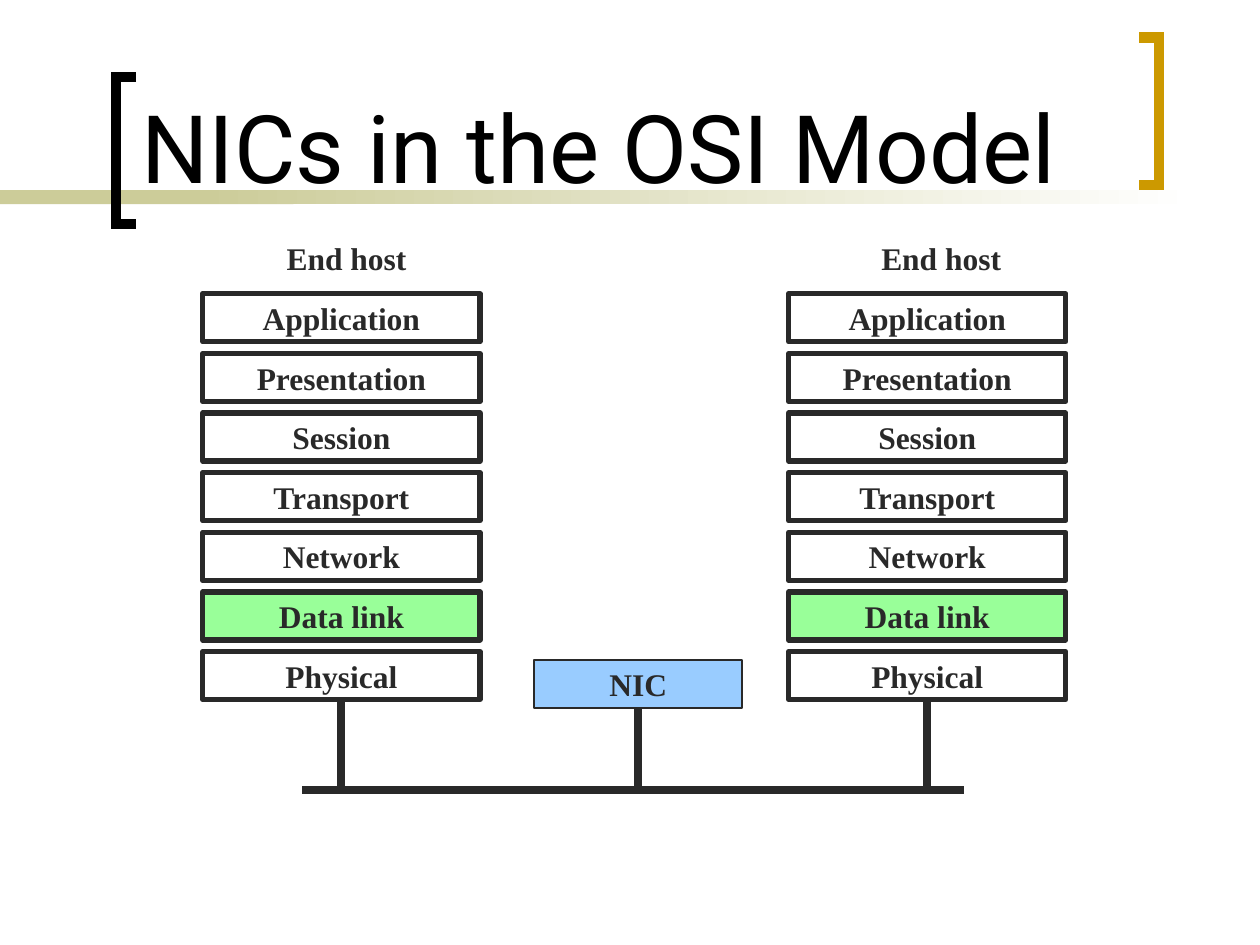
from dataclasses import dataclass

import pptx
import pptx.dml.color
import pptx.enum.shapes
import pptx.enum.text
import pptx.oxml.ns
import pptx.util
from lxml import etree

Pt = pptx.util.Pt
ANCHOR = pptx.enum.text.MSO_ANCHOR
ALIGN = pptx.enum.text.PP_ALIGN
RECTANGLE = pptx.enum.shapes.MSO_SHAPE.RECTANGLE
STRAIGHT = pptx.enum.shapes.MSO_CONNECTOR.STRAIGHT
WIDTH, HEIGHT = pptx.util.Inches(10), pptx.util.Inches(7.5)


@dataclass(frozen=True)
class Theme:
    title_font: str = "Roboto"
    body_font: str = "Times New Roman"
    title_size: float = 54
    body_size: float = 18
    black: str = "000000"
    ink: str = "292929"
    gold: str = "CC9900"
    sand: str = "CCCC99"
    white: str = "FFFFFF"
    green: str = "99FF99"
    blue: str = "99CCFF"
    bracket_line: float = 6
    cable_line: float = 4.5
    layer_line: float = 3
    card_line: float = 1


@dataclass(frozen=True)
class Area:
    """A rectangle in percent of the slide's width and height."""
    left: float
    top: float
    width: float
    height: float

    def lengths(self) -> tuple[int, int, int, int]:
        return across(self.left), down(self.top), across(self.width), down(self.height)


@dataclass(frozen=True)
class Host:
    stack_left: float
    label_left: float


@dataclass(frozen=True)
class Bracket:
    tips: float
    spine: float
    top: float
    color: str


THEME = Theme()
LAYERS = ("Application", "Presentation", "Session", "Transport",
          "Network", "Data link", "Physical")
HOSTS = (Host(16.1, 20.9), Host(62.6, 68.1))
BRACKETS = (Bracket(10.8, 9.2, 8.13, THEME.black),
            Bracket(90.4, 92, 4, THEME.gold))
BRACKET_HEIGHT = 15.6
STACK_TOP, LAYER_PITCH, LAYER_WIDTH, ROW_HEIGHT = 31.1, 6.31, 22, 5.07
LABEL_TOP, LABEL_WIDTH = 24.8, 13.2
BUS_LEFT, BUS_RIGHT, BUS_TOP = 24, 76.5, 83.6


def across(percent: float) -> int:
    return round(WIDTH * percent / 100)


def down(percent: float) -> int:
    return round(HEIGHT * percent / 100)


def rgb(color: str):
    return pptx.dml.color.RGBColor.from_string(color)


def set_all(target, values: dict) -> None:
    for name, value in values.items():
        setattr(target, name, value)


def set_line(line, color: str, width: float) -> None:
    line.color.rgb = rgb(color)
    line.width = Pt(width)


def write(shape, text: str) -> None:
    """Centred bold text with the narrow margins of the diagram."""
    frame = shape.text_frame
    set_all(frame, {
        "margin_left": across(0.8), "margin_right": across(0.8),
        "margin_top": down(0.53), "margin_bottom": down(0.53),
        "word_wrap": True, "vertical_anchor": ANCHOR.TOP,
    })
    paragraph = frame.paragraphs[0]
    paragraph.text = text
    paragraph.alignment = ALIGN.CENTER
    set_all(paragraph.font, {"name": THEME.body_font, "bold": True,
                             "size": Pt(THEME.body_size)})
    paragraph.font.color.rgb = rgb(THEME.ink)


def add_bar(slide, area: Area):
    shape = slide.shapes.add_shape(RECTANGLE, *area.lengths())
    shape.shadow.inherit = False
    shape.line.fill.background()
    return shape


def add_box(slide, area: Area, text: str, line_width: float, fill: str | None = None):
    shape = slide.shapes.add_shape(RECTANGLE, *area.lengths())
    shape.shadow.inherit = False
    if fill:
        shape.fill.solid()
        shape.fill.fore_color.rgb = rgb(fill)
    else:
        shape.fill.background()
    set_line(shape.line, THEME.ink, line_width)
    write(shape, text)
    return shape


def add_bracket(slide, bracket: Bracket) -> None:
    tips, spine = across(bracket.tips), across(bracket.spine)
    top, bottom = down(bracket.top), down(bracket.top + BRACKET_HEIGHT)
    builder = slide.shapes.build_freeform(tips, top)
    builder.add_line_segments([(spine, top), (spine, bottom), (tips, bottom)], close=False)
    shape = builder.convert_to_shape()
    shape.shadow.inherit = False
    shape.fill.background()
    set_line(shape.line, bracket.color, THEME.bracket_line)
    # Square corners
    outline = shape._element.spPr.find(pptx.oxml.ns.qn("a:ln"))
    etree.SubElement(outline, pptx.oxml.ns.qn("a:miter"), lim="800000")


def add_cable(slide, start: tuple[int, int], end: tuple[int, int]):
    cable = slide.shapes.add_connector(STRAIGHT, *start, *end)
    set_line(cable.line, THEME.ink, THEME.cable_line)
    etree.SubElement(cable._element.spPr, pptx.oxml.ns.qn("a:effectLst"))
    return cable


def add_drop(slide, box) -> None:
    """A cable from the bottom of a box straight down to the bus."""
    middle = box.left + box.width // 2
    cable = add_cable(slide, (middle, box.top + box.height), (middle, down(BUS_TOP)))
    cable.begin_connect(box, 2)


def add_host(slide, host: Host) -> None:
    label = slide.shapes.add_textbox(
        *Area(host.label_left, LABEL_TOP, LABEL_WIDTH, ROW_HEIGHT).lengths())
    write(label, "End host")
    for row, layer in enumerate(LAYERS):
        area = Area(host.stack_left, STACK_TOP + row * LAYER_PITCH, LAYER_WIDTH, ROW_HEIGHT)
        fill = THEME.green if layer == "Data link" else None
        box = add_box(slide, area, layer, THEME.layer_line, fill)
    add_drop(slide, box)


def add_title(slide, text: str) -> None:
    title = slide.shapes.title
    title.left, title.top, title.width, title.height = Area(10.2, 1.47, 78.3, 20.67).lengths()
    set_all(title.text_frame, {"vertical_anchor": ANCHOR.BOTTOM, "word_wrap": True,
                               "auto_size": pptx.enum.text.MSO_AUTO_SIZE.NONE})
    paragraph = title.text_frame.paragraphs[0]
    paragraph.text = text
    paragraph.alignment = ALIGN.LEFT
    set_all(paragraph.font, {"name": THEME.title_font, "size": Pt(THEME.title_size)})
    paragraph.font.color.rgb = rgb(THEME.black)
    # Bring the title in front of the band
    slide.shapes._spTree.append(title._element)


def main() -> None:
    presentation = pptx.Presentation()
    presentation.slide_width, presentation.slide_height = WIDTH, HEIGHT
    slide = presentation.slides.add_slide(presentation.slide_layouts[5])

    # Band behind the title: a solid start, then a fade to white
    solid = add_bar(slide, Area(0, 20.13, 23.3, 1.47))
    solid.fill.solid()
    solid.fill.fore_color.rgb = rgb(THEME.sand)
    fade = add_bar(slide, Area(15.8, 20.13, 79.2, 1.47))
    fade.fill.gradient()
    fade.fill.gradient_angle = 0
    for stop, color in zip(fade.fill.gradient_stops, (THEME.sand, THEME.white)):
        stop.color.rgb = rgb(color)

    # Title between its brackets
    for bracket in BRACKETS:
        add_bracket(slide, bracket)
    add_title(slide, "NICs in the OSI Model")

    # Hosts and network card on a shared bus
    add_cable(slide, (across(BUS_LEFT), down(BUS_TOP)), (across(BUS_RIGHT), down(BUS_TOP)))
    for host in HOSTS:
        add_host(slide, host)
    card = add_box(slide, Area(42.4, 69.87, 16.5, ROW_HEIGHT), "NIC",
                   THEME.card_line, THEME.blue)
    add_drop(slide, card)

    presentation.save("out.pptx")


if __name__ == "__main__":
    main()
